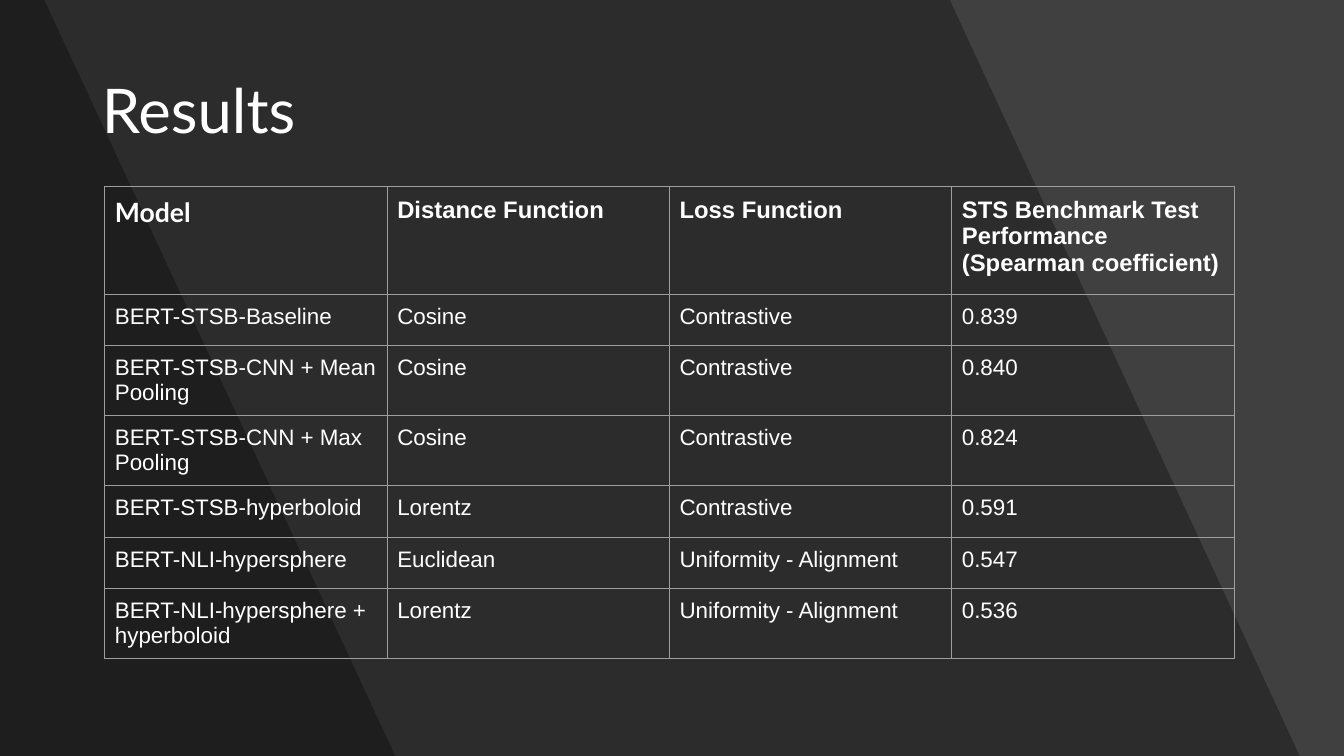
from dataclasses import dataclass

from lxml.etree import SubElement
from pptx import Presentation
from pptx.dml.color import RGBColor
from pptx.enum.text import MSO_ANCHOR as Anchor, PP_ALIGN as Align
from pptx.oxml import parse_xml
from pptx.oxml.ns import nsdecls, qn
from pptx.util import Inches, Pt

WHITE = RGBColor(0xFF, 0xFF, 0xFF)
BLACK = RGBColor(0, 0, 0)
BACKDROP = RGBColor(0x40, 0x40, 0x40)
BORDER = RGBColor(0x9E, 0x9E, 0x9E)

WIDTH, HEIGHT = Inches(13.33), Inches(7.5)
TABLE_LEFT, TABLE_TOP = Inches(1.04), Inches(1.85)
COLUMN, HEADER_ROW, BODY_ROW = Inches(2.8), Inches(1.07), Inches(0.51)
INSET = Inches(0.1)


@dataclass(frozen=True)
class Band:
    """A slanted shade from the left edge, its right corners in inches."""
    top_right: float
    bottom_right: float


@dataclass(frozen=True)
class Result:
    model: str
    distance: str
    loss: str
    score: str

    def cells(self) -> tuple[str, ...]:
        return self.model, self.distance, self.loss, self.score


BANDS = [Band(9.42, 12.89), Band(0.44, 3.92)]
HEADER = Result("Model", "Distance Function", "Loss Function",
                "STS Benchmark Test Performance (Spearman coefficient)")
RESULTS = [
    Result("BERT-STSB-Baseline", "Cosine", "Contrastive", "0.839"),
    Result("BERT-STSB-CNN + Mean Pooling", "Cosine", "Contrastive", "0.840"),
    Result("BERT-STSB-CNN + Max Pooling", "Cosine", "Contrastive", "0.824"),
    Result("BERT-STSB-hyperboloid", "Lorentz", "Contrastive", "0.591"),
    Result("BERT-NLI-hypersphere", "Euclidean", "Uniformity - Alignment", "0.547"),
    Result("BERT-NLI-hypersphere + hyperboloid", "Lorentz",
           "Uniformity - Alignment", "0.536"),
]


def write(tf, text: str, *, size: float, font: str = "Arial",
          bold: bool = False, spacing: float = 1.0) -> None:
    p = tf.paragraphs[0]
    p.alignment = Align.LEFT
    p.line_spacing = spacing
    r = p.add_run()
    r.text = text
    r.font.size, r.font.name, r.font.bold = Pt(size), font, bold
    r.font.color.rgb = WHITE


def add_band(slide, band: Band) -> None:
    """Draw a translucent band behind the title."""
    builder = slide.shapes.build_freeform(0, 0)
    builder.add_line_segments([(Inches(band.top_right), 0),
                               (Inches(band.bottom_right), HEIGHT),
                               (0, HEIGHT)], close=True)
    sp = builder.convert_to_shape()
    sp.shadow.inherit = False
    sp.line.fill.background()
    sp.fill.solid()
    sp.fill.fore_color.rgb = BLACK
    color = sp.element.spPr.find(qn("a:solidFill")).find(qn("a:srgbClr"))
    SubElement(color, qn("a:alpha"), val="30000")
    slide.shapes.title.element.addprevious(sp.element)


def add_title(slide, text: str) -> None:
    title = slide.shapes.title
    title.left, title.top = Inches(0.91), Inches(0.4)
    title.width, title.height = Inches(11.51), Inches(1.45)
    tf = title.text_frame
    tf.vertical_anchor = Anchor.MIDDLE
    write(tf, text, size=44, font="Lato", spacing=0.9)


def format_cell(cell) -> None:
    """Clear the fill, set the insets and outline all four sides."""
    cell.fill.background()
    cell.margin_left = cell.margin_right = INSET
    cell.margin_top = cell.margin_bottom = INSET
    cell.vertical_anchor = Anchor.TOP
    tc_pr = cell._tc.get_or_add_tcPr()
    for i, side in enumerate("LRTB"):
        tc_pr.insert(i, parse_xml(
            f'<a:ln{side} {nsdecls("a")} w="{Pt(0.75)}"><a:solidFill>'
            f'<a:srgbClr val="{BORDER}"/></a:solidFill></a:ln{side}>'))


def add_results(slide, rows: list[Result]) -> None:
    columns = len(HEADER.cells())
    height = HEADER_ROW + BODY_ROW * (len(rows) - 1)
    table = slide.shapes.add_table(len(rows), columns, TABLE_LEFT, TABLE_TOP,
                                   COLUMN * columns, height).table
    table.first_row = table.horz_banding = False
    for i, row in enumerate(rows):
        is_header = i == 0
        table.rows[i].height = HEADER_ROW if is_header else BODY_ROW
        for j, text in enumerate(row.cells()):
            cell = table.cell(i, j)
            format_cell(cell)
            if is_header and j == 0:
                write(cell.text_frame, text, size=19, font="Lato", bold=True)
            else:
                write(cell.text_frame, text, size=17 if is_header else 16,
                      bold=is_header)


def main() -> None:
    prs = Presentation()
    prs.slide_width, prs.slide_height = WIDTH, HEIGHT
    slide = prs.slides.add_slide(prs.slide_layouts[5])
    fill = slide.background.fill
    fill.solid()
    fill.fore_color.rgb = BACKDROP
    for band in BANDS:
        add_band(slide, band)
    add_title(slide, "Results")
    add_results(slide, [HEADER, *RESULTS])
    prs.save("out.pptx")


if __name__ == "__main__":
    main()
